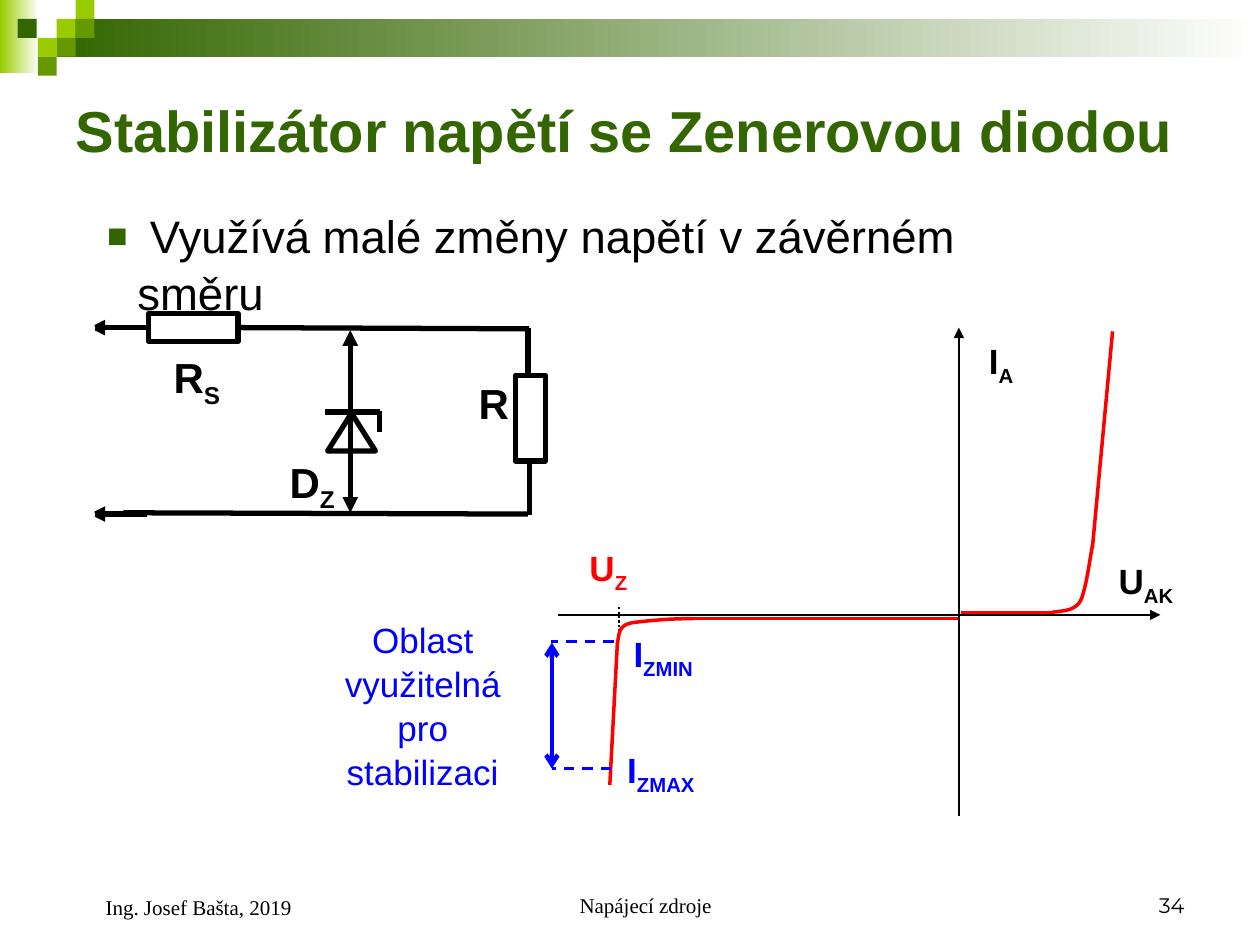
from dataclasses import dataclass

from lxml import etree
from pptx import Presentation
from pptx.dml.color import RGBColor
from pptx.enum.dml import MSO_LINE
from pptx.enum.shapes import MSO_CONNECTOR, MSO_SHAPE
from pptx.enum.text import MSO_ANCHOR, MSO_AUTO_SIZE, PP_ALIGN
from pptx.oxml.ns import qn
from pptx.util import Emu, Pt

PX = 9144
RECT, OVAL, TRIANGLE = MSO_SHAPE.RECTANGLE, MSO_SHAPE.OVAL, MSO_SHAPE.ISOSCELES_TRIANGLE
STRAIGHT = MSO_CONNECTOR.STRAIGHT
DASH, DOT = MSO_LINE.DASH, MSO_LINE.ROUND_DOT
LEFT, CENTER, RIGHT = PP_ALIGN.LEFT, PP_ALIGN.CENTER, PP_ALIGN.RIGHT
TOP, MIDDLE, BOTTOM = MSO_ANCHOR.TOP, MSO_ANCHOR.MIDDLE, MSO_ANCHOR.BOTTOM


@dataclass(frozen=True)
class Theme:
    """Colours, fonts, type sizes and line widths of the slide."""
    dark: str = "336600"
    mid: str = "669900"
    lime: str = "99CC00"
    white: str = "FFFFFF"
    black: str = "000000"
    red: str = "FF0000"
    blue: str = "0000FF"
    sans: str = "Arial"
    serif: str = "Times New Roman"
    number: str = "Montserrat"
    title: int = 33
    body: int = 26
    component: int = 24
    label: int = 20
    footer: int = 12
    wire: float = 3
    curve: float = 2
    axis: float = 1.5
    leading: float = 1.05


T = Theme()


def px(value):
    """Turn px into EMU."""
    return Emu(round(value * PX))


def rgb(color):
    """Turn a hex string into a colour."""
    return RGBColor.from_string(color)


def shape(s, kind, box, fill=None, line=None, width=T.wire):
    """Add a preset shape with an optional fill and outline."""
    sp = s.shapes.add_shape(kind, *map(px, box))
    sp.shadow.inherit = False
    if fill:
        sp.fill.solid()
        sp.fill.fore_color.rgb = rgb(fill)
    else:
        sp.fill.background()
    if line:
        sp.line.color.rgb = rgb(line)
        sp.line.width = Pt(width)
    else:
        sp.line.fill.background()
    return sp


def fade(s, box, color):
    """Add a bar that fades from a colour to white, left to right."""
    sp = shape(s, RECT, box)
    sp.fill.gradient()
    sp.fill.gradient_angle = 0
    for stop, tone in zip(sp.fill.gradient_stops, (color, T.white)):
        stop.color.rgb = rgb(tone)


def line(s, points, color=T.black, width=T.wire, dash=None, head=None, tail=None):
    """Add a straight line with optional dashes and arrowheads."""
    sp = s.shapes.add_connector(STRAIGHT, *map(px, points))
    sp.line.color.rgb = rgb(color)
    sp.line.width = Pt(width)
    if dash:
        sp.line.dash_style = dash
    ln = sp.line._get_or_add_ln()
    for tag, end in (("a:headEnd", head), ("a:tailEnd", tail)):
        if end:
            etree.SubElement(ln, qn(tag), type=end)
    etree.SubElement(sp._element.spPr, qn("a:effectLst"))


def bezier(a, b, c, d, steps=8):
    """Sample a cubic curve after its start point."""
    for i in range(1, steps + 1):
        t = i / steps
        u = 1 - t
        yield tuple(px(u**3 * p + 3 * u * u * t * q + 3 * u * t * t * v + t**3 * w)
                    for p, q, v, w in zip(a, b, c, d))


def curve(s, nodes, color=T.red):
    """Add an open outline through chained cubic curves."""
    fb = s.shapes.build_freeform(*map(px, nodes[0]), scale=1.0)
    for i in range(0, len(nodes) - 1, 3):
        fb.add_line_segments(list(bezier(*nodes[i:i + 4])), close=False)
    sp = fb.convert_to_shape()
    sp.shadow.inherit = False
    sp.fill.background()
    sp.line.color.rgb = rgb(color)
    sp.line.width = Pt(T.curve)


def write(sp, text, size, color, font=T.sans, bold=False, align=LEFT, anchor=TOP, sub=""):
    """Set and format the text of a shape, with an optional subscript."""
    tf = sp.text_frame
    tf.text = text
    tf.word_wrap = True
    tf.auto_size = MSO_AUTO_SIZE.NONE
    tf.vertical_anchor = anchor
    p = tf.paragraphs[0]
    p.alignment = align
    p.space_before = Pt(0)
    p.line_spacing = T.leading
    if sub:
        r = p.add_run()
        r.text = sub
        r._r.get_or_add_rPr().set("baseline", "-25000")
    for r in p.runs:
        r.font.name, r.font.size, r.font.bold = font, Pt(size), bold
        r.font.color.rgb = rgb(color)
    return p


def label(s, box, text, size, color, indent=0, **style):
    """Add a text box with an optional left indent."""
    p = write(s.shapes.add_textbox(*map(px, box)), text, size, color, **style)
    if indent:
        p._p.get_or_add_pPr().set("marL", str(px(indent)))


def place(sp, box):
    """Move and size a placeholder."""
    sp.left, sp.top, sp.width, sp.height = map(px, box)


def bullet(p, indent, color):
    """Give a paragraph a hanging square bullet."""
    pPr = p._p.get_or_add_pPr()
    pPr.set("marL", str(px(indent)))
    pPr.set("indent", str(-px(indent)))
    clr = etree.SubElement(pPr, qn("a:buClr"))
    etree.SubElement(clr, qn("a:srgbClr"), val=color)
    etree.SubElement(pPr, qn("a:buSzPct"), val="75000")
    etree.SubElement(pPr, qn("a:buFont"), typeface=T.sans)
    etree.SubElement(pPr, qn("a:buChar"), char="■")


def banner(s):
    """Draw the fading bars and the square mosaic."""
    fade(s, (0, 0, 31, 58), T.lime)
    fade(s, (45, 15, 955, 30), T.dark)
    for x, y, color in ((45, 15, T.lime), (60, 0, T.lime), (60, 15, T.mid), (30, 30, T.lime),
                        (14, 15, T.dark), (45, 30, T.mid), (30, 45, T.mid)):
        shape(s, RECT, (x, y, 15, 15), fill=color)


def circuit(s):
    """Draw the stabiliser circuit with its component names."""
    line(s, (278, 407, 278, 262), head="triangle", tail="triangle")
    shape(s, TRIANGLE, (260, 328, 38, 30), line=T.black)
    for points in ((302, 327, 258, 327), (301, 343, 301, 326), (419, 260, 419, 297),
                   (420, 367, 420, 409), (98, 407, 419, 408), (189, 260, 420, 261)):
        line(s, points)
    for box in ((409, 298, 24, 68), (118, 249, 71, 22)):
        shape(s, RECT, box, line=T.black)
    for y in (260, 408):
        line(s, (71, y, 117, y), head="triangle")
        shape(s, OVAL, (66, y - 4, 9, 9), fill=T.white, line=T.white, width=0.75)
    for box, text, sub in (((220, 355, 63, 56), "D", "Z"), ((128, 272, 63, 56), "R", "S"),
                           ((370, 293, 38, 50), "R", "")):
        label(s, box, text, T.component, T.black, bold=True, sub=sub)


def characteristic(s):
    """Draw the diode characteristic, its axes and the usable range."""
    line(s, (491, 482, 491, 502), width=1.25, dash=DOT)
    for points in ((883, 263, 867, 435), (763, 486, 835, 486),
                   (484, 623, 490, 510), (760, 491, 549, 491)):
        line(s, points, T.red, T.curve)
    curve(s, [(867, 433), (865, 445), (863, 458), (861, 466), (859, 474),
              (858, 478), (854, 481), (849, 485), (842, 485), (835, 486)])
    curve(s, [(550, 491), (536, 491), (522, 492), (513, 493), (504, 494),
              (499, 494), (495, 497), (491, 500), (491, 506), (490, 511)])
    for points in ((443, 488, 921, 488), (761, 648, 761, 260)):
        line(s, points, width=T.axis, tail="triangle")
    for points in ((487, 509, 437, 509), (485, 610, 438, 610)):
        line(s, points, T.blue, T.axis, DASH)
    line(s, (438, 510, 438, 610), T.blue, 2.5, head="arrow", tail="arrow")
    for x, y, w, text, sub, color in (
            (458, 427, 63, "U", "Z", T.red), (878, 437, 80, "U", "AK", T.black),
            (775, 263, 50, "I", "A", T.black), (488, 587, 107, "I", "ZMAX", T.blue),
            (493, 495, 107, "I", "ZMIN", T.blue)):
        label(s, (x, y, w, 48), text, T.label, color, bold=True, sub=sub)
    label(s, (257, 484, 157, 144), "Oblast využitelná pro stabilizaci", T.label, T.blue,
          align=CENTER)


def main():
    """Build the slide and save it."""
    prs = Presentation()
    prs.slide_width, prs.slide_height = px(1000), px(750)
    s = prs.slides.add_slide(prs.slide_layouts[1])
    banner(s)
    circuit(s)
    title, body = s.placeholders
    place(title, (50, 50, 900, 103))
    write(title, "Stabilizátor napětí se Zenerovou diodou", T.title, T.dark,
          bold=True, anchor=MIDDLE)
    characteristic(s)
    place(body, (75, 158, 790, 97))
    bullet(write(body, " Využívá malé změny napětí v závěrném směru", T.body, T.black), 24, T.dark)
    label(s, (342, 683, 317, 50), "Napájecí zdroje", T.footer, T.black, 24,
          font=T.serif, align=CENTER, anchor=BOTTOM)
    label(s, (717, 683, 233, 50), "34", T.footer, T.black,
          font=T.number, align=RIGHT, anchor=BOTTOM)
    label(s, (50, 683, 233, 52), "Ing. Josef Bašta, 2019", T.footer, T.black, 24,
          font=T.serif, anchor=BOTTOM)
    prs.save("out.pptx")


if __name__ == "__main__":
    main()
